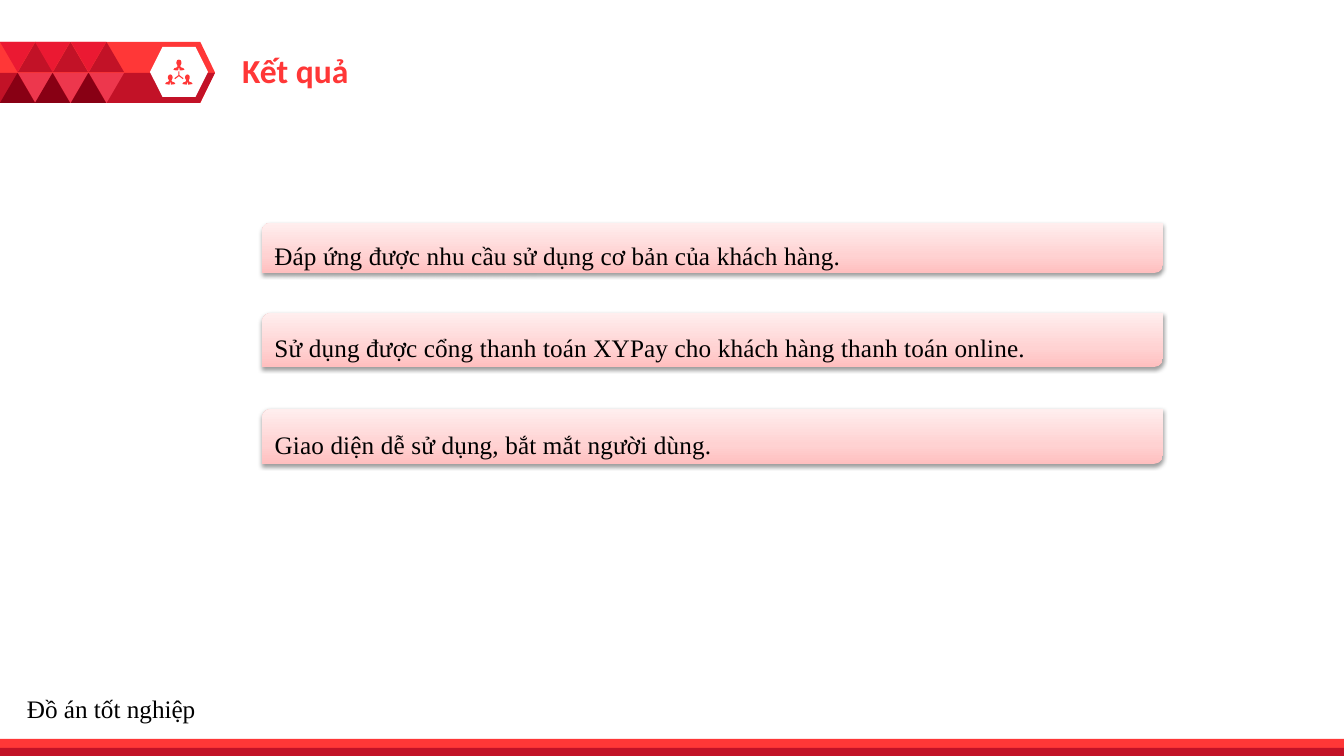
import copy
from dataclasses import dataclass

import pptx
import pptx.dml.color
import pptx.enum.shapes
import pptx.enum.text
import pptx.oxml
import pptx.oxml.ns
import pptx.util

WIDE, HIGH = 1344, 756
SCALE = 12192000 / WIDE
FORM = pptx.enum.shapes.MSO_SHAPE
ALIGN = pptx.enum.text.PP_ALIGN
ANCHOR = pptx.enum.text.MSO_ANCHOR


@dataclass(frozen=True)
class Theme:
    red: str = "FF3737"
    dark: str = "C21227"
    rose: str = "EB1932"
    pink: str = "ED374D"
    wine: str = "880014"
    white: str = "FFFFFF"
    black: str = "000000"
    fade: tuple = ((0, "FFBFBF"), (0.35, "FFD2D2"), (1, "FFEEEE"))
    head: str = "Calibri"
    body: str = "Times New Roman"
    large: int = 24
    small: int = 18


THEME = Theme()
CARDS = (
    (223, 50, ALIGN.LEFT, "Đáp ứng được nhu cầu sử dụng cơ bản của khách hàng."),
    (313, 54, ALIGN.JUSTIFY,
     "Sử dụng được cổng thanh toán XYPay cho khách hàng thanh toán online."),
    (409, 55, ALIGN.JUSTIFY, "Giao diện dễ sử dụng, bắt mắt người dùng."),
)
HALF = ((0, 0), (17, 6), (25, 25), (25, 40), (15, 60), (15, 72),
        (25, 80), (45, 86), (55, 102), (30, 108), (8, 109), (3, 84))
STEMS = ((-5, -40), (5, -40), (5, -3), (45, 28), (39, 37),
         (0, 7), (-39, 37), (-45, 28), (-5, -3))


def px(size):
    return pptx.util.Emu(round(size * SCALE))


def tint(code):
    return pptx.dml.color.RGBColor.from_string(code)


def place(item, box):
    item.left, item.top, item.width, item.height = map(px, box)


def paint(item, color):
    item.fill.solid()
    item.fill.fore_color.rgb = tint(color)
    item.line.fill.background()
    item.shadow.inherit = False


def write(item, text, font=THEME.body, size=THEME.small, color=THEME.black,
          bold=False, align=ALIGN.LEFT, anchor=ANCHOR.TOP, lead=1, gap=0, track=0):
    frame = item.text_frame
    frame.word_wrap = True
    frame.auto_size = pptx.enum.text.MSO_AUTO_SIZE.NONE
    frame.vertical_anchor = anchor
    para = frame.paragraphs[0]
    para.alignment = align
    para.line_spacing = lead
    para.space_before = para.space_after = pptx.util.Pt(gap)
    run = para.add_run()
    run.text = text
    run.font.name = font
    run.font.size = pptx.util.Pt(size)
    run.font.bold = bold
    run.font.color.rgb = tint(color)
    if track:
        run.font._element.set("spc", str(track))


def solid(slide, form, box, color, turn=0):
    item = slide.shapes.add_shape(form, *map(px, box))
    item.rotation = turn
    paint(item, color)
    return item


def trace(slide, loops, color, parts=1):
    pen = slide.shapes.build_freeform(*loops[0][0], scale=SCALE / parts)
    for rank, loop in enumerate(loops):
        if rank:
            pen.move_to(*loop[0])
        pen.add_line_segments(loop[1:], close=True)
    paint(pen.convert_to_shape(), color)


def shift(loop, left, top, ratio=1):
    return [(left + round(x * ratio), top + round(y * ratio)) for x, y in loop]


def icon(slide):
    body = HALF + tuple((-x, y) for x, y in reversed(HALF[1:]))
    people = [shift(body, 1790, 596), shift(body, 1703, 745, 0.93),
              shift(body, 1875, 745, 0.93)]
    trace(slide, people + [shift(STEMS, 1790, 755)], THEME.red, parts=10)


def banner(slide):
    plate = solid(slide, FORM.PENTAGON, (0, 42, 215, 61), THEME.red)
    plate.adjustments[0] = 0.24
    trace(slide, [[(0, 73), (215, 73), (200, 103), (0, 103)]], THEME.dark)
    solid(slide, FORM.HEXAGON, (150, 47, 58, 50), THEME.white)
    icon(slide)
    for step in range(3):
        left = step * 71 // 2
        for nudge, top, color, turn in (
                (0, 42, THEME.rose, 180), (18, 42, THEME.dark, 0),
                (18, 73, THEME.pink, 180), (0, 73, THEME.wine, 0)):
            box = (left + nudge, top, 35, 30)
            solid(slide, FORM.ISOSCELES_TRIANGLE, box, color, turn)


def shade(item):
    item.fill.gradient()
    item.fill.gradient_angle = 90
    props = item._element.spPr
    stops = props.find(".//" + pptx.oxml.ns.qn("a:gsLst"))
    stops.insert(1, copy.deepcopy(stops[0]))
    for stop, (spot, color) in zip(item.fill.gradient_stops, THEME.fade):
        stop.position = spot
        stop.color.rgb = tint(color)
    item.line.fill.background()
    item.shadow.inherit = False
    glow = pptx.oxml.parse_xml(
        f'<a:outerShdw {pptx.oxml.ns.nsdecls("a")} blurRad="40000" dist="20000" '
        f'dir="5400000" rotWithShape="0"><a:srgbClr val="{THEME.black}">'
        '<a:alpha val="38000"/></a:srgbClr></a:outerShdw>')
    props.find(pptx.oxml.ns.qn("a:effectLst")).append(glow)


def card(slide, top, height, align, text):
    box = (262, top, 901, height)
    item = slide.shapes.add_shape(FORM.ROUND_2_DIAG_RECTANGLE, *map(px, box))
    shade(item)
    write(item, text, align=align, anchor=ANCHOR.MIDDLE, lead=1.5, gap=4, track=10)


def main():
    deck = pptx.Presentation()
    deck.slide_width, deck.slide_height = px(WIDE), px(HIGH)
    slide = deck.slides.add_slide(deck.slide_layouts[5])
    banner(slide)
    solid(slide, FORM.RECTANGLE, (0, 739, WIDE, 17), THEME.red)
    solid(slide, FORM.RECTANGLE, (0, 748, WIDE, 8), THEME.dark)
    title = slide.shapes.title
    place(title, (232, 45, 425, 51))
    write(title, "Kết quả", font=THEME.head, size=THEME.large,
          color=THEME.red, bold=True)
    note = slide.shapes.add_textbox(*map(px, (17, 688, 285, 40)))
    write(note, "Đồ án tốt nghiệp")
    for row in CARDS:
        card(slide, *row)
    deck.save("out.pptx")


if __name__ == "__main__":
    main()
